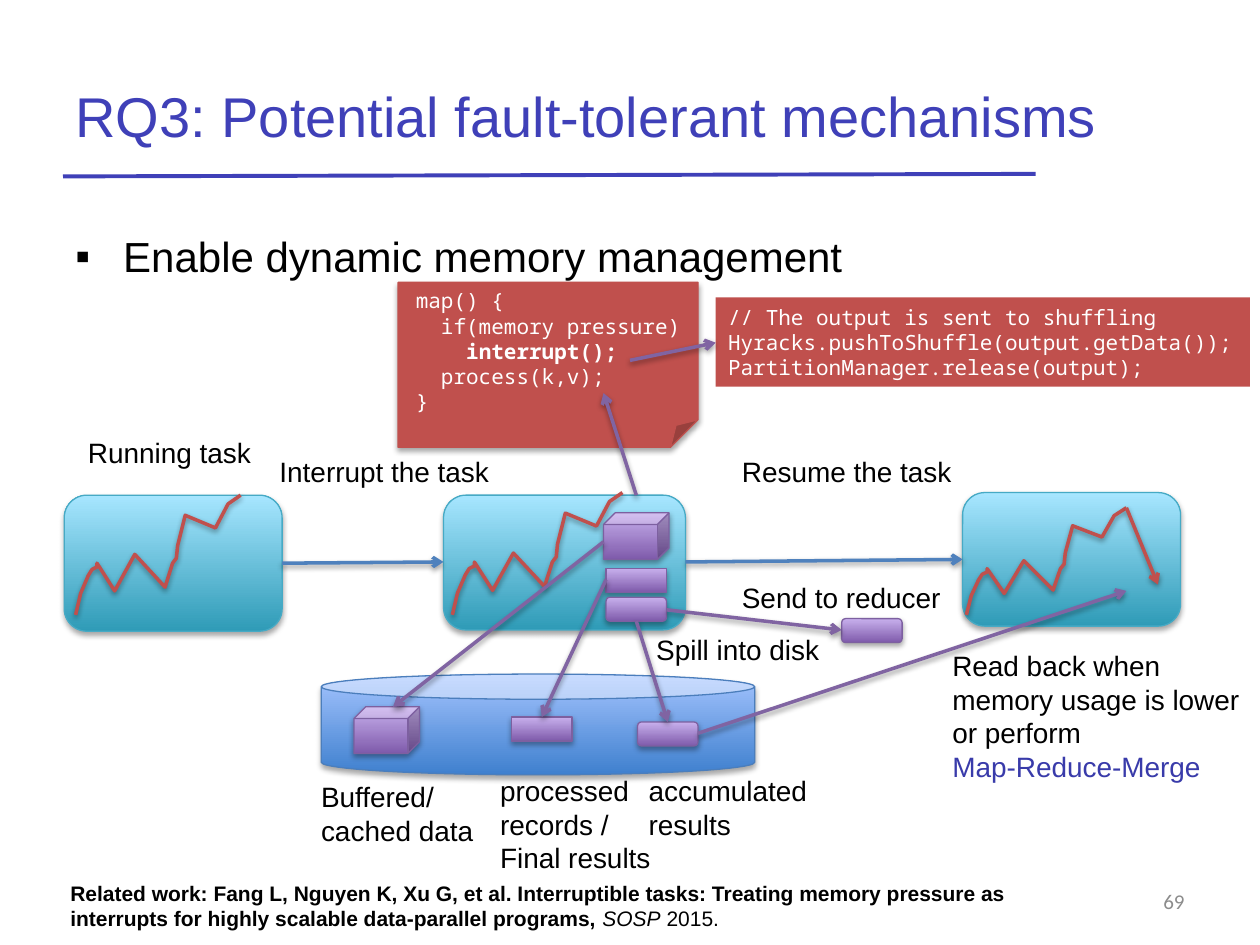
from pptx import Presentation
from pptx.dml.color import RGBColor
from pptx.enum.shapes import MSO_CONNECTOR as Connector, MSO_SHAPE as Shape
from pptx.enum.text import MSO_ANCHOR as Anchor, PP_ALIGN as Align
from pptx.oxml import parse_xml
from pptx.oxml.ns import nsdecls
from pptx.util import Emu, Pt

PX = 9144
INDIGO, BLACK, WHITE, RED, BLUE, PURPLE = "3F40B8", "000000", "FFFFFF", "C0504D", "4F81BD", "8064A2"
TASK_FILL, DISK_FILL, DATA_FILL = ("2F9BB7", "A7E6FF"), ("3F80CE", "A4C4FF"), ("7F5BAB", "C8B0ED")
TASK_EDGE, DISK_EDGE, DATA_EDGE = "46AAC5", "4B7EBC", "7D60A0"
LABEL = {"name": "Arial", "size": 16, "color": BLACK}
CODE = {"name": "Noto Sans Mono", "size": 12, "color": WHITE}
NOTE = {"name": "Arial", "size": 12, "color": BLACK}
CUBE_SIZE, RECORD_SIZE = (52, 37), (48, 19)
TREND = [(0, 95), (4, 78), (10, 64), (13, 59), (17, 57), (17, 54), (31, 76), (47, 47), (71, 73),
         (77, 54), (80, 50), (81, 40), (87, 16), (111, 26), (121, 7), (131, 0)]
TREND_SIZE = (131, 95)


def px(*lengths):
    """Turn px lengths into EMU."""
    return [Emu(round(length * PX)) for length in lengths]


def color(code):
    """Return the colour of a hex string."""
    return RGBColor.from_string(code)


def set_shadow(shape, strength=35, distance=23000):
    """Give a shape or connector a soft shadow below it."""
    shape._element.spPr.append(parse_xml(
        f'<a:effectLst {nsdecls("a")}><a:outerShdw blurRad="40000" dist="{distance}" dir="5400000" '
        f'rotWithShape="0"><a:srgbClr val="000000"><a:alpha val="{strength * 1000}"/></a:srgbClr>'
        '</a:outerShdw></a:effectLst>'))


def set_line(shape, code, width):
    """Set the colour and width of an outline."""
    shape.line.color.rgb = color(code)
    shape.line.width = Pt(width)


def write(shape, paragraphs, style, anchor=Anchor.TOP, align=Align.LEFT, wrap=True):
    """Fill a shape with paragraphs, each a string or a list of (text, changes) runs."""
    frame = shape.text_frame
    frame.word_wrap, frame.vertical_anchor = wrap, anchor
    for index, runs in enumerate(paragraphs):
        paragraph = frame.add_paragraph() if index else frame.paragraphs[0]
        paragraph.alignment = align
        for text, changes in [(runs, {})] if isinstance(runs, str) else runs:
            run = paragraph.add_run()
            run.text = text
            for name, value in (style | changes).items():
                if name == "color":
                    run.font.color.rgb = color(value)
                else:
                    setattr(run.font, name, Pt(value) if name == "size" else value)
    return shape


def add_text(slide, box, paragraphs, style=LABEL, **layout):
    """Add a text box."""
    return write(slide.shapes.add_textbox(*px(*box)), paragraphs, style, **layout)


def add_block(slide, kind, box, fill, edge=None, shadow=True):
    """Add a preset shape with a plain or upward gradient fill."""
    shape = slide.shapes.add_shape(kind, *px(*box))
    if isinstance(fill, str):
        shape.fill.solid()
        shape.fill.fore_color.rgb = color(fill)
    else:
        shape.fill.gradient()
        shape.fill.gradient_angle = 90
        for position, (stop, code) in enumerate(zip(shape.fill.gradient_stops, fill)):
            stop.position, stop.color.rgb = position, color(code)
    if edge:
        set_line(shape, edge, 0.75)
    else:
        shape.line.fill.background()
    if shadow:
        set_shadow(shape)
    else:
        shape.shadow.inherit = False
    return shape


def add_line(slide, start, end, code, width=2, arrow=True):
    """Add a straight line, as a shadowed arrow unless told otherwise."""
    line = slide.shapes.add_connector(Connector.STRAIGHT, *px(*start, *end))
    set_line(line, code, width)
    if arrow:
        line.line._get_or_add_ln().append(parse_xml(f'<a:tailEnd {nsdecls("a")} type="arrow"/>'))
        set_shadow(line, 38, 20000)
    else:
        line._element.spPr.append(parse_xml(f'<a:effectLst {nsdecls("a")}/>'))


def add_data(slide, kind, left, top):
    """Add one piece of task data."""
    size = CUBE_SIZE if kind == Shape.CUBE else RECORD_SIZE
    add_block(slide, kind, (left, top, *size), DATA_FILL, DATA_EDGE)


def add_header(slide, left, top, width, height):
    """Place the title, its rule and the main bullet."""
    add_line(slide, (left, top + 95), (left + 772, top + 93), INDIGO, 2.25, arrow=False)
    add_text(slide, (left, top, width, height), ["RQ3: Potential fault-tolerant mechanisms"],
             {"name": "Arial", "size": 32, "color": INDIGO}, anchor=Anchor.MIDDLE)
    body = add_text(slide, (left, top + 133, 900, 50), ["Enable dynamic memory management"],
                    LABEL | {"size": 24})
    properties = body.text_frame.paragraphs[0]._p.get_or_add_pPr()
    indent = px(38)[0]
    properties.set("marL", str(indent))
    properties.set("indent", str(-indent))
    for tag in ('buFont typeface="Arial"', 'buChar char="▪"'):
        properties.append(parse_xml(f'<a:{tag.split()[0]} {nsdecls("a")} {tag.split()[1]}/>'))


def add_code(slide, left, top, width, height):
    """Place the map code, the shuffle code and the arrow between them."""
    note = add_block(slide, Shape.FOLDED_CORNER, (left, top, width, height), RED, RED)
    frame = note.text_frame
    for side in ("left", "top", "right", "bottom"):
        setattr(frame, f"margin_{side}", px(4)[0])
    write(note, [" map() {", "   if(memory pressure)", [("     ", {}), ("interrupt();", {"bold": True})],
                 "   process(k,v);", " }"], CODE, Anchor.MIDDLE)
    shuffle = add_block(slide, Shape.RECTANGLE, (left + 252, top + 12, 424, 71), RED, shadow=False)
    write(shuffle, ["// The output is sent to shuffling", "Hyracks.pushToShuffle(output.getData());",
                    "PartitionManager.release(output);"], CODE, Anchor.MIDDLE)
    add_line(slide, (left + 184, top + 62), (left + 252, top + 48), PURPLE)


def add_task(slide, left, top, width, height, trend_box):
    """Place a task with its memory trend, whose box is relative to the task."""
    add_block(slide, Shape.ROUNDED_RECTANGLE, (left, top, width, height), TASK_FILL, TASK_EDGE)
    x, y, trend_width, trend_height = trend_box
    points = [px(left + x + across * trend_width / TREND_SIZE[0],
                 top + y + down * trend_height / TREND_SIZE[1]) for across, down in TREND]
    builder = slide.shapes.build_freeform(*points[0])
    builder.add_line_segments(points[1:], close=False)
    trend = builder.convert_to_shape()
    trend.fill.background()
    set_line(trend, RED, 2)
    set_shadow(trend, 38, 20000)


def add_tasks(slide, left, top):
    """Place the running, interrupted and resumed tasks in a row."""
    add_task(slide, left, top, 173, 108, (9, 0, 131, 95))
    add_task(slide, left + 301, top, 192, 107, (7, -2, 135, 97))
    add_task(slide, left + 713, top - 2, 173, 106, (3, 12, 127, 85))
    add_line(slide, (left + 843, top + 10), (left + 868, top + 71), RED)
    add_line(slide, (left + 173, top + 54), (left + 301, top + 53), BLUE)
    add_line(slide, (left + 493, top + 53), (left + 713, top + 51), BLUE)
    add_data(slide, Shape.CUBE, left + 428, top + 14)
    add_data(slide, Shape.RECTANGLE, left + 430, top + 58)
    add_data(slide, Shape.ROUNDED_RECTANGLE, left + 430, top + 81)
    add_data(slide, Shape.ROUNDED_RECTANGLE, left + 617, top + 98)
    for x, y, width, text, wrap in [
            (9, -52, 157, "Running task", True), (161, -37, 194, "Interrupt the task", True),
            (528, -37, 194, "Resume the task", True), (460, 104, 159, "Spill into disk", True),
            (528, 63, 180, "Send to reducer", False)]:
        add_text(slide, (left + x, top + y, width, 37), [text], wrap=wrap)
    add_text(slide, (left + 695, top + 117, 254, 118),
             ["Read back when memory usage is lower", "or perform",
              [("Map-Reduce-Merge", {"color": "393BAA"})]])


def add_disk(slide, left, top, width, height):
    """Place the disk, the data spilled into it and their labels."""
    add_block(slide, Shape.CAN, (left, top, width, height), DISK_FILL, DISK_EDGE)
    add_data(slide, Shape.CUBE, left + 26, top + 26)
    add_data(slide, Shape.RECTANGLE, left + 151, top + 34)
    add_data(slide, Shape.ROUNDED_RECTANGLE, left + 251, top + 38)
    add_text(slide, (left - 10, top + 79, 164, 64), ["Buffered/cached data"])
    add_text(slide, (left + 132, top + 74, 142, 91), ["processed", "records /", "Final results"])
    add_text(slide, (left + 250, top + 74, 147, 64), ["accumulated", "results"], wrap=False)


def add_data_flow(slide):
    """Draw the arrows that follow data between tasks, code and disk."""
    for start, end in [((481, 460), (430, 569)), ((479, 430), (312, 561)), ((505, 493), (530, 573)),
                       ((505, 393), (479, 312)), ((529, 484), (668, 500)), ((554, 582), (894, 469))]:
        add_line(slide, start, end, PURPLE)


def add_footer(slide, left, top, width, height):
    """Place the related work and the slide number."""
    add_text(slide, (left, top, width, height), [[
        ("Related work: Fang L, Nguyen K, Xu G, et al. Interruptible tasks: Treating memory pressure as "
         "interrupts for highly scalable data-parallel programs, ", {"bold": True}),
        ("SOSP", {"italic": True}), (" 2015.", {})]], NOTE)
    add_text(slide, (left + 671, top + 1, 233, 40), ["69"],
             {"name": "Calibri", "size": 12, "color": "8C8C8C"}, anchor=Anchor.MIDDLE, align=Align.RIGHT)


def main():
    """Build and save the slide."""
    presentation = Presentation()
    presentation.slide_width, presentation.slide_height = px(1000, 750)
    slide = presentation.slides.add_slide(presentation.slide_layouts[6])
    add_header(slide, 50, 45, 910, 93)
    add_code(slide, 316, 224, 238, 131)
    add_disk(slide, 255, 535, 344, 80)
    add_tasks(slide, 51, 393)
    add_data_flow(slide)
    add_footer(slide, 46, 694, 840, 50)
    presentation.save("out.pptx")


if __name__ == "__main__":
    main()
